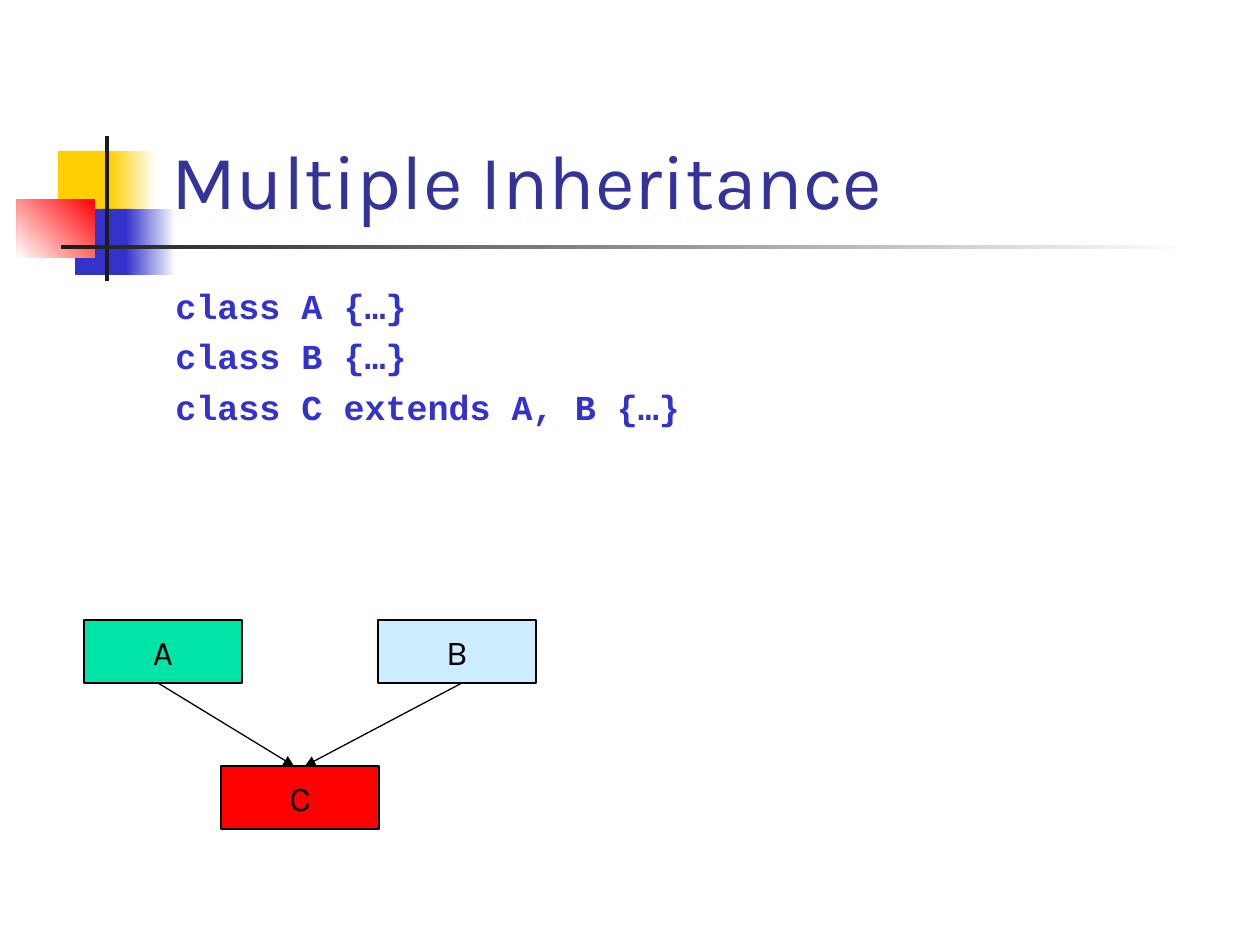
import pptx
import pptx.dml.color
import pptx.enum.shapes
import pptx.enum.text
import pptx.oxml
import pptx.oxml.ns
import pptx.util
from lxml import etree

EMU_PER_PX = 914400 / 126
COLORS = {
    "white": "FFFFFF", "black": "000000", "yellow": "FFCF01", "blue": "3333CC",
    "red": "FF0000", "charcoal": "1C1C1C", "title": "333399",
    "green": "00E4A8", "pale_blue": "CCECFF",
}


def px(*lengths):
    """Turn pixel lengths into a list of EMU lengths."""
    return [pptx.util.Emu(round(length * EMU_PER_PX)) for length in lengths]


def format_runs(paragraph, font_name, size, color, bold=False):
    for run in paragraph.runs:
        run.font.name = font_name
        run.font.size = pptx.util.Pt(size)
        run.font.bold = bold
        run.font.color.rgb = pptx.dml.color.RGBColor.from_string(COLORS[color])


presentation = pptx.Presentation()
presentation.slide_width, presentation.slide_height = px(1260, 945)
slide = presentation.slides.add_slide(presentation.slide_layouts[6])
shapes = slide.shapes
rectangle = pptx.enum.shapes.MSO_SHAPE.RECTANGLE

# Decoration: box, then one solid colour or two gradient colours with a
# counter-clockwise angle
decorations = [
    ((58, 151, 60, 66), ["yellow"], 0),
    ((110, 151, 46, 66), ["white", "yellow"], 180),
    ((75, 209, 58, 66), ["blue"], 0),
    ((126, 209, 50, 66), ["white", "blue"], 180),
    ((17, 199, 78, 59), ["red", "white"], 225),
    ((105, 136, 4, 145), ["charcoal"], 0),
    ((61, 245, 1134, 4), ["white", "charcoal"], 180),
]
for box, color_names, angle in decorations:
    shape = shapes.add_shape(rectangle, *px(*box))
    shape.shadow.inherit = False
    shape.line.fill.background()
    if len(color_names) == 1:
        shape.fill.solid()
        shape.fill.fore_color.rgb = pptx.dml.color.RGBColor.from_string(COLORS[color_names[0]])
    else:
        shape.fill.gradient()
        shape.fill.gradient_angle = angle
        for stop, color_name in zip(shape.fill.gradient_stops, color_names):
            stop.color.rgb = pptx.dml.color.RGBColor.from_string(COLORS[color_name])

# Title
title_frame = shapes.add_textbox(*px(159, 29, 1074, 202)).text_frame
title_frame.word_wrap = True
title_frame.vertical_anchor = pptx.enum.text.MSO_ANCHOR.BOTTOM
title_frame.text = "Multiple Inheritance"
format_runs(title_frame.paragraphs[0], "Karla", 44, "title")

# Class declarations
code_frame = shapes.add_textbox(*px(163, 278, 1071, 215)).text_frame
code_frame.word_wrap = True
code_frame.text = "class A {…}\nclass B {…}\nclass C extends A, B {…}"
for paragraph in code_frame.paragraphs:
    paragraph.space_before = pptx.util.Pt(5)
    format_runs(paragraph, "Courier New", 20, "blue", bold=True)

# Class diagram
class_boxes = [
    ("A", 84, 620, "green"),
    ("B", 378, 620, "pale_blue"),
    ("C", 221, 766, "red"),
]
for name, left, top, color_name in class_boxes:
    shape = shapes.add_shape(rectangle, *px(left, top, 158, 63))
    shape.shadow.inherit = False
    shape.fill.solid()
    shape.fill.fore_color.rgb = pptx.dml.color.RGBColor.from_string(COLORS[color_name])
    shape.line.color.rgb = pptx.dml.color.RGBColor.from_string(COLORS["black"])
    shape.line.width = pptx.util.Pt(0.75)
    text_frame = shape.text_frame
    text_frame.word_wrap = False
    text_frame.vertical_anchor = pptx.enum.text.MSO_ANCHOR.MIDDLE
    text_frame.text = name
    text_frame.paragraphs[0].alignment = pptx.enum.text.PP_ALIGN.CENTER
    format_runs(text_frame.paragraphs[0], "Karla", 20, "black")

for start_x, end_x in [(158, 294), (462, 305)]:
    connector = shapes.add_connector(
        pptx.enum.shapes.MSO_CONNECTOR.STRAIGHT, *px(start_x, 683, end_x, 766))
    connector.line.color.rgb = pptx.dml.color.RGBColor.from_string(COLORS["black"])
    connector.line.width = pptx.util.Pt(0.75)
    etree.SubElement(connector.line._get_or_add_ln(),
                     pptx.oxml.ns.qn("a:tailEnd"), type="triangle")
    etree.SubElement(connector._element.spPr, pptx.oxml.ns.qn("a:effectLst"))

presentation.save("out.pptx")
